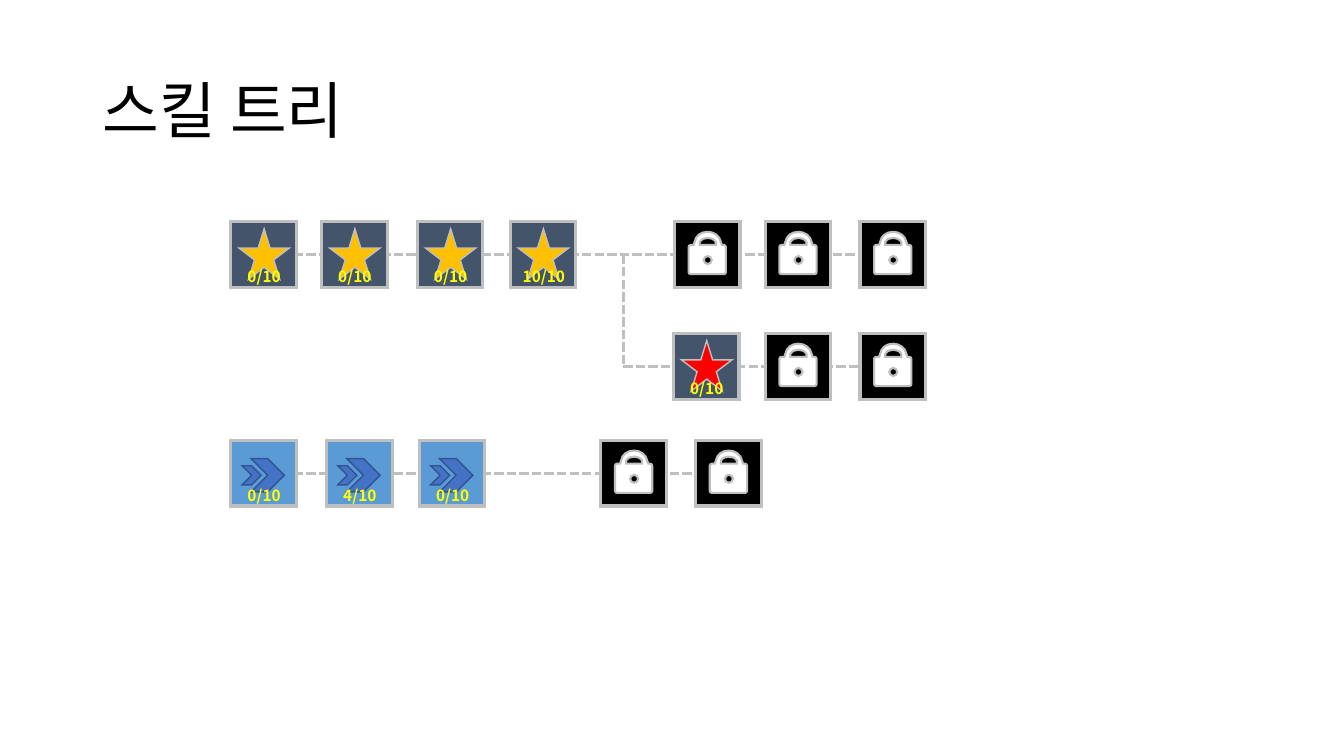
from dataclasses import dataclass
from typing import Any, Optional

from lxml import etree
from pptx import Presentation
from pptx import util as u
from pptx.dml import color
from pptx.enum import dml, shapes, text
from pptx.oxml import ns

EMU_PER_PX = 9144
NODE = 65
BRANCH_X = 618


@dataclass(frozen=True)
class Theme:
    font: str = "Noto Sans CJK KR"
    title_size: int = 44
    label_size: int = 11
    title: str = "000000"
    label: str = "FFFF00"
    edge: str = "BFBFBF"
    chevron_edge: str = "325491"
    chevron: str = "4472C4"
    star_tile: str = "44546A"
    chevron_tile: str = "5B9BD5"
    lock_tile: str = "000000"
    lock: str = "FFFFFF"
    gold: str = "FFC000"
    red: str = "FF0000"


@dataclass(frozen=True)
class Icon:
    kind: shapes.MSO_SHAPE
    left: int
    top: int
    size: int
    fill: str
    edge: str


@dataclass(frozen=True)
class Style:
    fill: str
    icons: tuple[Icon, ...] = ()


@dataclass(frozen=True)
class Skill:
    left: int
    style: Style
    progress: Optional[str] = None


@dataclass(frozen=True)
class Row:
    top: int
    skills: tuple[Skill, ...]
    line_start: Optional[int] = None


THEME = Theme()


def star(fill: str) -> Style:
    return Style(THEME.star_tile, (Icon(shapes.MSO_SHAPE.STAR_5_POINT, 8, 7, 50, fill, THEME.edge),))


GOLD_STAR = star(THEME.gold)
RED_STAR = star(THEME.red)
CHEVRONS = Style(THEME.chevron_tile, tuple(
    Icon(shapes.MSO_SHAPE.CHEVRON, left, top, size, THEME.chevron, THEME.chevron_edge)
    for left, top, size in ((20, 18, 33), (11, 25, 19))
))
LOCKED = Style(THEME.lock_tile)

ROWS = (
    Row(220, (
        Skill(229, GOLD_STAR, "0/10"), Skill(319, GOLD_STAR, "0/10"),
        Skill(414, GOLD_STAR, "0/10"), Skill(506, GOLD_STAR, "10/10"),
        Skill(669, LOCKED), Skill(759, LOCKED), Skill(853, LOCKED),
    )),
    Row(331, (
        Skill(668, RED_STAR, "0/10"), Skill(759, LOCKED), Skill(853, LOCKED),
    ), BRANCH_X),
    Row(437, (
        Skill(229, CHEVRONS, "0/10"), Skill(324, CHEVRONS, "4/10"),
        Skill(416, CHEVRONS, "0/10"), Skill(596, LOCKED), Skill(690, LOCKED),
    )),
)

LOCK_OUTLINES = (
    ((19, 24), (17, 24, 15, 26, 15, 28), (15, 30, 17, 32, 19, 32),
     (21, 32, 23, 30, 23, 28), (23, 26, 21, 24, 19, 24)),
    ((19, 6), (16, 6, 13, 7, 11, 10), (11, 13), (27, 13), (27, 10), (25, 7, 22, 6, 19, 6)),
    ((19, 0), (25, 0, 31, 4, 32, 10), (33, 13), (35, 13), (36, 13, 37, 14, 37, 15),
     (37, 40), (37, 41, 36, 42, 35, 42), (2, 42), (1, 42, 0, 41, 0, 40),
     (0, 15), (0, 14, 1, 13, 2, 13), (5, 13), (6, 10), (7, 4, 12, 0, 19, 0)),
)


def px(value: int) -> u.Emu:
    return u.Emu(value * EMU_PER_PX)


def apply(target: Any, values: dict[str, Any]) -> None:
    for name, value in values.items():
        setattr(target, name, value)


def paint_line(shape: Any, edge: str, values: dict[str, Any]) -> None:
    shape.line.color.rgb = color.RGBColor.from_string(edge)
    apply(shape.line, values)
    outline = shape._element.spPr.find(ns.qn("a:ln"))
    etree.SubElement(outline, ns.qn("a:miter"), lim="800000")


def paint(shape: Any, fill: str, edge: str, width: float) -> None:
    shape.shadow.inherit = False
    shape.fill.solid()
    shape.fill.fore_color.rgb = color.RGBColor.from_string(fill)
    paint_line(shape, edge, {"width": u.Pt(width)})


def write(frame: Any, content: str, size: int, ink: str, bold: bool,
          frame_format: dict[str, Any], paragraph_format: dict[str, Any]) -> None:
    apply(frame, frame_format)
    paragraph = frame.paragraphs[0]
    apply(paragraph, paragraph_format)
    run = paragraph.add_run()
    run.text = content
    apply(run.font, {"name": THEME.font, "size": u.Pt(size), "bold": bold})
    run.font.color.rgb = color.RGBColor.from_string(ink)
    etree.SubElement(run.font._element, ns.qn("a:ea"), typeface=THEME.font)


def bend(shape: Any, left: int, top: int) -> None:
    segments = [segment for outline in LOCK_OUTLINES for segment in outline[1:]]
    lines = list(shape._element.iter(ns.qn("a:lnTo")))
    for line, segment in zip(lines, segments):
        if len(segment) == 2:
            continue
        curve = etree.Element(ns.qn("a:cubicBezTo"))
        for x, y in zip(segment[::2], segment[1::2]):
            etree.SubElement(curve, ns.qn("a:pt"), x=str(px(left + x) - shape.left),
                             y=str(px(top + y) - shape.top))
        line.getparent().replace(line, curve)


def draw_lock(group: Any, left: int, top: int) -> None:
    first, *others = [
        [(px(left + segment[-2]), px(top + segment[-1])) for segment in outline]
        for outline in LOCK_OUTLINES
    ]
    builder = group.shapes.build_freeform(*first[0], scale=1.0)
    builder.add_line_segments(first[1:], close=True)
    for points in others:
        builder.move_to(*points[0])
        builder.add_line_segments(points[1:], close=True)
    shape = builder.convert_to_shape()
    bend(shape, left, top)
    paint(shape, THEME.lock, THEME.edge, 1.5)


def draw_skill(slide: Any, skill: Skill, top: int) -> Any:
    group = slide.shapes.add_group_shape()
    tile = group.shapes.add_shape(
        shapes.MSO_SHAPE.RECTANGLE, px(skill.left), px(top), px(NODE), px(NODE))
    paint(tile, skill.style.fill, THEME.edge, 2.25)
    for icon in skill.style.icons:
        shape = group.shapes.add_shape(
            icon.kind, px(skill.left + icon.left), px(top + icon.top), px(icon.size), px(icon.size))
        paint(shape, icon.fill, icon.edge, 1)
    if skill.progress is None:
        draw_lock(group, skill.left + 14, top + 10)
    else:
        width = 18 + 9 * len(skill.progress)
        label = group.shapes.add_textbox(
            px(skill.left + (NODE + 2 - width) // 2), px(top + 40), px(width), px(29))
        write(label.text_frame, skill.progress, THEME.label_size, THEME.label, True,
              {"word_wrap": False, "auto_size": text.MSO_AUTO_SIZE.SHAPE_TO_FIT_TEXT},
              {"alignment": text.PP_ALIGN.CENTER})
    return tile


def draw_line(slide: Any, start: tuple[int, int], end: tuple[int, int]) -> Any:
    connector = slide.shapes.add_connector(shapes.MSO_CONNECTOR.STRAIGHT, *start, *end)
    paint_line(connector, THEME.edge, {"width": u.Pt(2.25), "dash_style": dml.MSO_LINE.SQUARE_DOT})
    etree.SubElement(connector._element.spPr, ns.qn("a:effectLst"))
    return connector


def row_middle(row: Row) -> int:
    return px(row.top) + px(NODE) // 2


def draw_row(slide: Any, row: Row) -> None:
    first, last = row.skills[0], row.skills[-1]
    start = first.left if row.line_start is None else row.line_start
    middle = row_middle(row)
    connector = draw_line(slide, (px(start), middle), (px(last.left + NODE), middle))
    tiles = [draw_skill(slide, skill, row.top) for skill in row.skills]
    if row.line_start is None:
        connector.begin_connect(tiles[0], 1)
    connector.end_connect(tiles[-1], 3)


def main() -> None:
    presentation = Presentation()
    apply(presentation, {"slide_width": px(1333), "slide_height": px(750)})
    slide = presentation.slides.add_slide(presentation.slide_layouts[5])
    title = slide.shapes.title
    apply(title, {"left": px(92), "top": px(40), "width": px(1150), "height": px(145)})
    write(title.text_frame, "스킬 트리", THEME.title_size, THEME.title, False,
          {"vertical_anchor": text.MSO_ANCHOR.MIDDLE, "auto_size": text.MSO_AUTO_SIZE.NONE},
          {"alignment": text.PP_ALIGN.LEFT, "line_spacing": 0.9})
    draw_line(slide, (px(BRANCH_X), row_middle(ROWS[0])), (px(BRANCH_X), row_middle(ROWS[1])))
    for row in ROWS:
        draw_row(slide, row)
    presentation.save("out.pptx")


if __name__ == "__main__":
    main()
